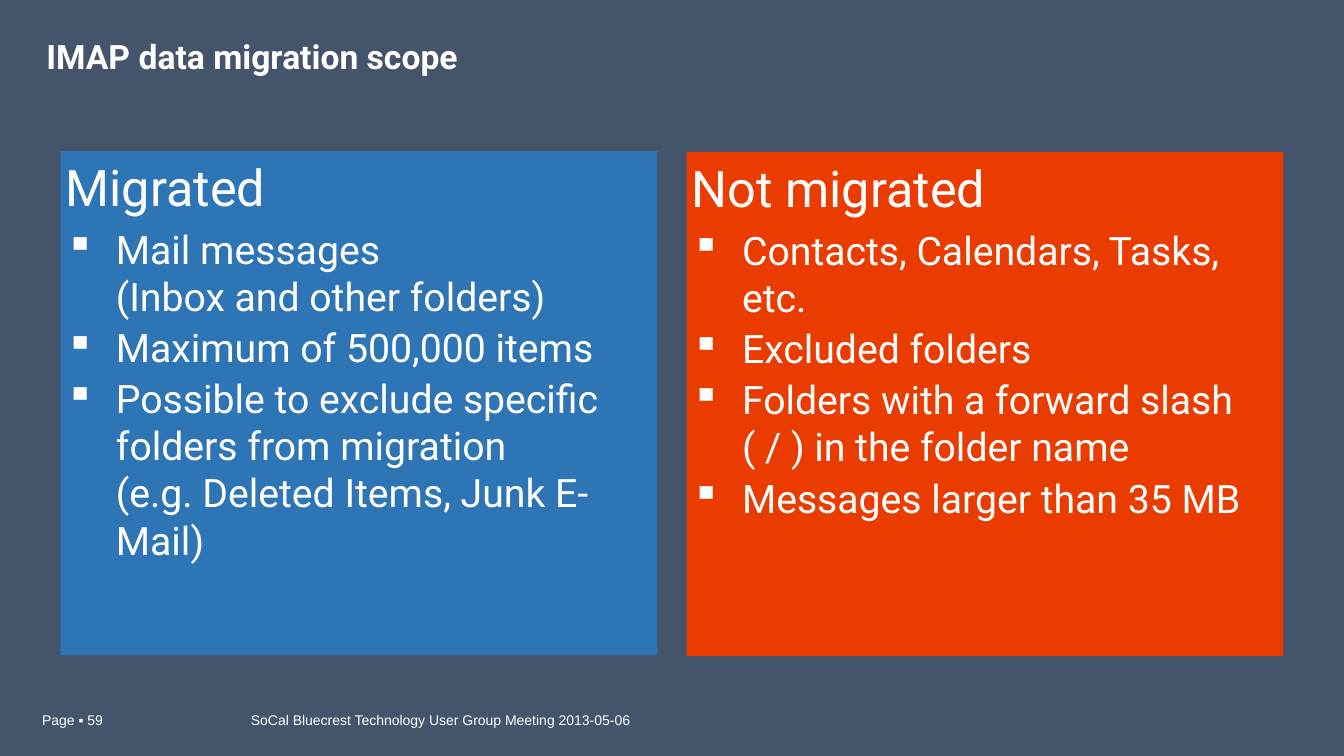
"""Build the slide that compares what an IMAP migration moves and leaves behind."""
from lxml import etree
from pptx import Presentation, util as u
from pptx.dml.color import RGBColor
from pptx.enum import shapes, text
from pptx.oxml.ns import qn

EMU_PER_PX = 9144
SLATE = RGBColor(0x44, 0x54, 0x6A)
BLUE = RGBColor(0x2E, 0x75, 0xB6)
ORANGE = RGBColor(0xEB, 0x3C, 0x00)
WHITE = RGBColor(0xFF, 0xFF, 0xFF)
BULLET_INDENT = 50

MIGRATED = [
    "Mail messages\n(Inbox and other folders)",
    "Maximum of 500,000 items",
    "Possible to exclude specific folders from migration\n"
    "(e.g. Deleted Items, Junk E-Mail)",
]
NOT_MIGRATED = [
    "Contacts, Calendars, Tasks, etc.",
    "Excluded folders",
    "Folders with a forward slash\n( / ) in the folder name",
    "Messages larger than 35 MB",
]


def px(length):
    return u.Emu(length * EMU_PER_PX)


def set_insets(frame, sides, ends):
    frame.margin_left = frame.margin_right = px(sides)
    frame.margin_top = frame.margin_bottom = px(ends)


def write(paragraph, wording, size, font="Roboto", bold=False):
    paragraph.text = wording
    paragraph.alignment = text.PP_ALIGN.LEFT
    paragraph.font.name = font
    paragraph.font.size = u.Pt(size)
    paragraph.font.bold = bold
    paragraph.font.color.rgb = WHITE


def add_bullet(paragraph):
    properties = paragraph._p.get_or_add_pPr()
    properties.set("marL", str(px(BULLET_INDENT)))
    properties.set("indent", str(-px(BULLET_INDENT)))
    etree.SubElement(properties, qn("a:buChar"), char="▪")


def add_title(slide, wording):
    title = slide.shapes.title
    title.left, title.top, title.width, title.height = map(px, (46, 25, 841, 66))
    frame = title.text_frame
    set_insets(frame, 0, 5)
    frame.auto_size = text.MSO_AUTO_SIZE.NONE
    frame.vertical_anchor = text.MSO_ANCHOR.MIDDLE
    heading = frame.paragraphs[0]
    write(heading, wording, 24, bold=True)
    heading.line_spacing = 0.95


def add_panel(slide, left, top, color, heading, items):
    panel = slide.shapes.add_shape(
        shapes.MSO_SHAPE.RECTANGLE, px(left), px(top), px(592), px(500))
    panel.shadow.inherit = False
    panel.fill.solid()
    panel.fill.fore_color.rgb = color
    panel.line.fill.background()
    frame = panel.text_frame
    set_insets(frame, 5, 5)
    frame.word_wrap = True
    frame.vertical_anchor = text.MSO_ANCHOR.TOP
    write(frame.paragraphs[0], heading, 36)
    frame.paragraphs[0].space_after = u.Pt(6)
    for item in items:
        paragraph = frame.add_paragraph()
        add_bullet(paragraph)
        write(paragraph, item, 28)
        paragraph.space_after = u.Pt(3)


def add_footer(slide, left, width, wording):
    footer = slide.shapes.add_textbox(px(left), px(701), px(width), px(27))
    footer.text_frame.word_wrap = True
    write(footer.text_frame.paragraphs[0], wording, 10, font="Arial")


def main():
    deck = Presentation()
    deck.slide_width, deck.slide_height = px(1333), px(750)
    slide = deck.slides.add_slide(deck.slide_layouts.get_by_name("Title Only"))
    slide.background.fill.solid()
    slide.background.fill.fore_color.rgb = SLATE
    add_footer(slide, 239, 648, "SoCal Bluecrest Technology User Group Meeting 2013-05-06")
    add_title(slide, "IMAP data migration scope")
    add_footer(slide, 32, 196, "Page ▪ 59")
    add_panel(slide, 60, 150, BLUE, "Migrated", MIGRATED)
    add_panel(slide, 681, 151, ORANGE, "Not migrated", NOT_MIGRATED)
    deck.save("out.pptx")


if __name__ == "__main__":
    main()
